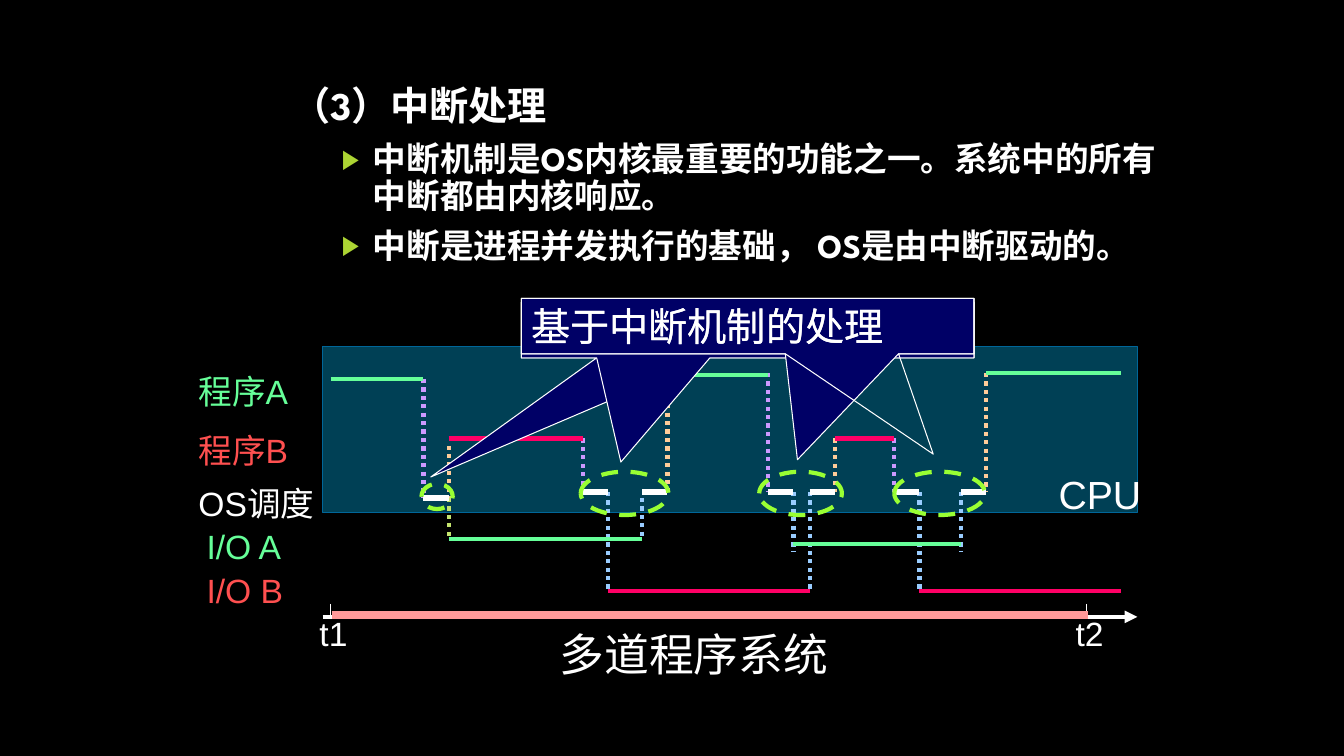
from lxml import etree
from pptx import Presentation
from pptx.dml.color import RGBColor
from pptx.enum.dml import MSO_LINE_DASH_STYLE as Dash
from pptx.enum.shapes import MSO_CONNECTOR_TYPE as Connector, MSO_SHAPE as Preset
from pptx.enum.text import MSO_ANCHOR as Anchor, MSO_AUTO_SIZE as AutoSize, PP_ALIGN as Align
from pptx.oxml.ns import qn
from pptx.util import Inches, Pt

BLACK = RGBColor(0x00, 0x00, 0x00)
WHITE = RGBColor(0xFF, 0xFF, 0xFF)
GREEN = RGBColor(0x66, 0xFF, 0x99)
RED = RGBColor(0xFF, 0x50, 0x50)
PINK = RGBColor(0xFF, 0x00, 0x66)
PURPLE = RGBColor(0xCC, 0x99, 0xFF)
PEACH = RGBColor(0xFF, 0xCC, 0x99)
SKY = RGBColor(0x99, 0xCC, 0xFF)
OLIVE = RGBColor(0xC4, 0xE4, 0x6E)
SALMON = RGBColor(0xFF, 0x99, 0x99)
LIME = RGBColor(0x99, 0xFF, 0x33)
BULLET = RGBColor(0xAC, 0xD4, 0x33)
TEAL = RGBColor(0x00, 0x99, 0xCC)
STEEL = RGBColor(0x00, 0x66, 0x99)
NAVY = RGBColor(0x00, 0x00, 0x66)

A_LEVEL, B_LEVEL, OS_LEVEL, IO_B_LEVEL = 3.7, 4.35, 4.88, 5.86
AXIS = 6.12

DOTTED = [
    (PURPLE, [(4.2, 3.76, 4.94), (5.78, B_LEVEL, OS_LEVEL),
              (7.62, A_LEVEL, OS_LEVEL), (8.87, B_LEVEL, OS_LEVEL)]),
    (OLIVE, [(4.45, 4.94, 5.34)]),
    (PEACH, [(4.45, 4.42, 4.94), (6.62, 3.76, OS_LEVEL),
             (8.28, B_LEVEL, OS_LEVEL), (9.78, A_LEVEL, OS_LEVEL)]),
    (SKY, [(6.03, OS_LEVEL, IO_B_LEVEL), (6.37, 4.94, 5.34),
           (7.87, OS_LEVEL, 5.47), (9.53, OS_LEVEL, 5.47),
           (8.03, OS_LEVEL, IO_B_LEVEL), (9.12, OS_LEVEL, IO_B_LEVEL)]),
]
RUNNING = [
    (GREEN, [(3.76, 3.28, 4.2), (3.72, 6.62, 7.62), (A_LEVEL, 9.78, 11.12),
             (5.35, 4.45, 6.37), (5.4, 7.87, 9.53)]),
    (PINK, [(B_LEVEL, 4.45, 5.78), (B_LEVEL, 8.28, 8.87),
            (IO_B_LEVEL, 6.03, 8.03), (IO_B_LEVEL, 9.12, 11.12)]),
]
SCHEDULING = [(4.2, 4.94)] + [(left, OS_LEVEL) for left in (5.78, 6.37, 7.62, 8.03, 8.87, 9.53)]
LABELS = [
    ("多道程序系统", (5.45, 6.17, 2.88, 0.63), 32, WHITE, False),
    ("程序A", (1.87, 3.63, 1.21, 0.5), 24, GREEN, True),
    ("程序B", (1.87, 4.22, 1.21, 0.5), 24, RED, True),
    ("OS调度", (1.87, 4.74, 1.45, 0.5), 24, WHITE, True),
    ("I/O A", (1.95, 5.17, 0.98, 0.5), 24, GREEN, False),
    ("I/O B", (1.95, 5.6, 0.98, 0.5), 24, RED, False),
    ("t1", (3.07, 6.03, 0.48, 0.5), 24, WHITE, False),
    ("t2", (10.57, 6.03, 0.48, 0.5), 24, WHITE, False),
    ("CPU", (10.4, 4.62, 1.02, 0.57), 28, WHITE, False),
]
INTERRUPTS = [(4.18, 4.8, 0.31, 0.25), (5.76, 4.68, 0.87, 0.43),
              (7.53, 4.68, 0.82, 0.43), (8.87, 4.68, 0.9, 0.43)]
CALLOUTS = [(3, -0.7, 2.65, NAVY), (3, -0.28, 2.38, NAVY),
            (2.96, 0.11, 2.41, NAVY), (2.96, 0.41, 2.31, None)]
TITLE = "（3）中断处理"
POINTS = ["中断机制是OS内核最重要的功能之一。系统中的所有中断都由内核响应。",
          "中断是进程并发执行的基础， OS是由中断驱动的。"]


def set_values(target, values):
    """Set each attribute of the target from a dict."""
    for name, value in values.items():
        setattr(target, name, value)


def write(paragraph, text, size, color, name="Arial", bold=False):
    """Add one formatted run to a paragraph."""
    run = paragraph.add_run()
    run.text = text
    set_values(run.font, {"size": Pt(size), "name": name, "bold": bold})
    run.font.color.rgb = color


def add_line(slide, start, end, color, width=3, dash=None):
    """Draw a straight line without a shadow."""
    line = slide.shapes.add_connector(Connector.STRAIGHT, *map(Inches, start + end))
    line.line.color.rgb = color
    set_values(line.line, {"width": Pt(width), "dash_style": dash})
    etree.SubElement(line._element.spPr, qn("a:effectLst"))
    return line


def add_outlined(slide, preset, box, color, width=0.75, fill=None, dash=None):
    """Draw a preset shape with an outline and an optional fill."""
    shape = slide.shapes.add_shape(preset, *map(Inches, box))
    shape.shadow.inherit = False
    if fill is None:
        shape.fill.background()
    else:
        shape.fill.solid()
        shape.fill.fore_color.rgb = fill
    shape.line.color.rgb = color
    set_values(shape.line, {"width": Pt(width), "dash_style": dash})
    return shape


def add_label(slide, text, box, size, color, wrap):
    """Add a one-line label."""
    frame = slide.shapes.add_textbox(*map(Inches, box)).text_frame
    set_values(frame, {"word_wrap": wrap, "auto_size": AutoSize.SHAPE_TO_FIT_TEXT})
    write(frame.paragraphs[0], text, size, color)


def add_callout(slide, top, tip_x, tip_y, fill):
    """Add a callout whose tip points at an interrupt."""
    callout = add_outlined(slide, Preset.RECTANGULAR_CALLOUT, (5.17, top, 4.49, 0.55), WHITE, fill=fill)
    callout.adjustments[0], callout.adjustments[1] = tip_x, tip_y
    set_values(callout.text_frame, {"word_wrap": True, "vertical_anchor": Anchor.MIDDLE})
    paragraph = callout.text_frame.paragraphs[0]
    paragraph.alignment = Align.LEFT
    write(paragraph, "基于中断机制的处理", 28, WHITE)


def indent(paragraph, margin, first):
    """Set the left margin and first-line indent of a paragraph."""
    properties = paragraph._p.get_or_add_pPr()
    properties.set("marL", str(Inches(margin)))
    properties.set("indent", str(Inches(first)))
    return properties


def add_bullet(properties):
    """Give a paragraph a coloured triangle bullet."""
    color = etree.SubElement(properties, qn("a:buClr"))
    etree.SubElement(color, qn("a:srgbClr"), val=str(BULLET))
    etree.SubElement(properties, qn("a:buSzPct"), val="80000")
    etree.SubElement(properties, qn("a:buFont"), typeface="Arial")
    etree.SubElement(properties, qn("a:buChar"), char="▶")


def add_body(slide):
    """Add the heading and its bulleted points."""
    frame = slide.shapes.add_textbox(*map(Inches, (2.79, 0.81, 8.9, 2))).text_frame
    frame.word_wrap = True
    heading = frame.paragraphs[0]
    indent(heading, 0.38, -0.38)
    heading.line_spacing = 0.9
    write(heading, TITLE, 28, WHITE, "League Spartan", True)
    for point in POINTS:
        paragraph = frame.add_paragraph()
        add_bullet(indent(paragraph, 0.81, -0.31))
        set_values(paragraph, {"level": 1, "line_spacing": 0.9, "space_before": Pt(10)})
        write(paragraph, point, 24, WHITE, "League Spartan", True)


def add_cpu_band(slide):
    """Draw the translucent band of CPU activity."""
    band = add_outlined(slide, Preset.RECTANGLE, (3.2, 3.44, 8.08, 1.64), STEEL, fill=TEAL)
    color = band._element.spPr.find(qn("a:solidFill")).find(qn("a:srgbClr"))
    etree.SubElement(color, qn("a:alpha"), val="42000")


def add_time_axis(slide):
    """Draw the time arrow with its marked interval."""
    axis = add_line(slide, (3.2, AXIS), (11.28, AXIS), WHITE)
    etree.SubElement(axis.line._get_or_add_ln(), qn("a:tailEnd"), type="triangle")
    for tick in (3.28, 10.78):
        add_line(slide, (tick, 5.99), (tick, AXIS), WHITE, 0.75)
    add_line(slide, (3.29, 6.1), (10.79, 6.1), SALMON, 6)


def add_timeline(slide):
    """Draw switches, running periods and scheduling periods."""
    for color, switches in DOTTED:
        for x, top, bottom in switches:
            add_line(slide, (x, top), (x, bottom), color, dash=Dash.ROUND_DOT)
    for color, periods in RUNNING:
        for y, left, right in periods:
            add_line(slide, (left, y), (right, y), color)
    for left, y in SCHEDULING:
        add_line(slide, (left, y), (left + 0.25, y), WHITE, 4.5)


def main():
    """Build and save the slide."""
    presentation = Presentation()
    set_values(presentation, {"slide_width": Inches(13.33), "slide_height": Inches(7.5)})
    slide = presentation.slides.add_slide(presentation.slide_layouts[6])
    slide.background.fill.solid()
    slide.background.fill.fore_color.rgb = BLACK
    add_body(slide)
    add_cpu_band(slide)
    add_time_axis(slide)
    add_timeline(slide)
    for label in LABELS:
        add_label(slide, *label)
    for box in INTERRUPTS:
        add_outlined(slide, Preset.OVAL, box, LIME, 3, dash=Dash.DASH)
    for callout in CALLOUTS:
        add_callout(slide, *callout)
    presentation.save("out.pptx")


if __name__ == "__main__":
    main()
